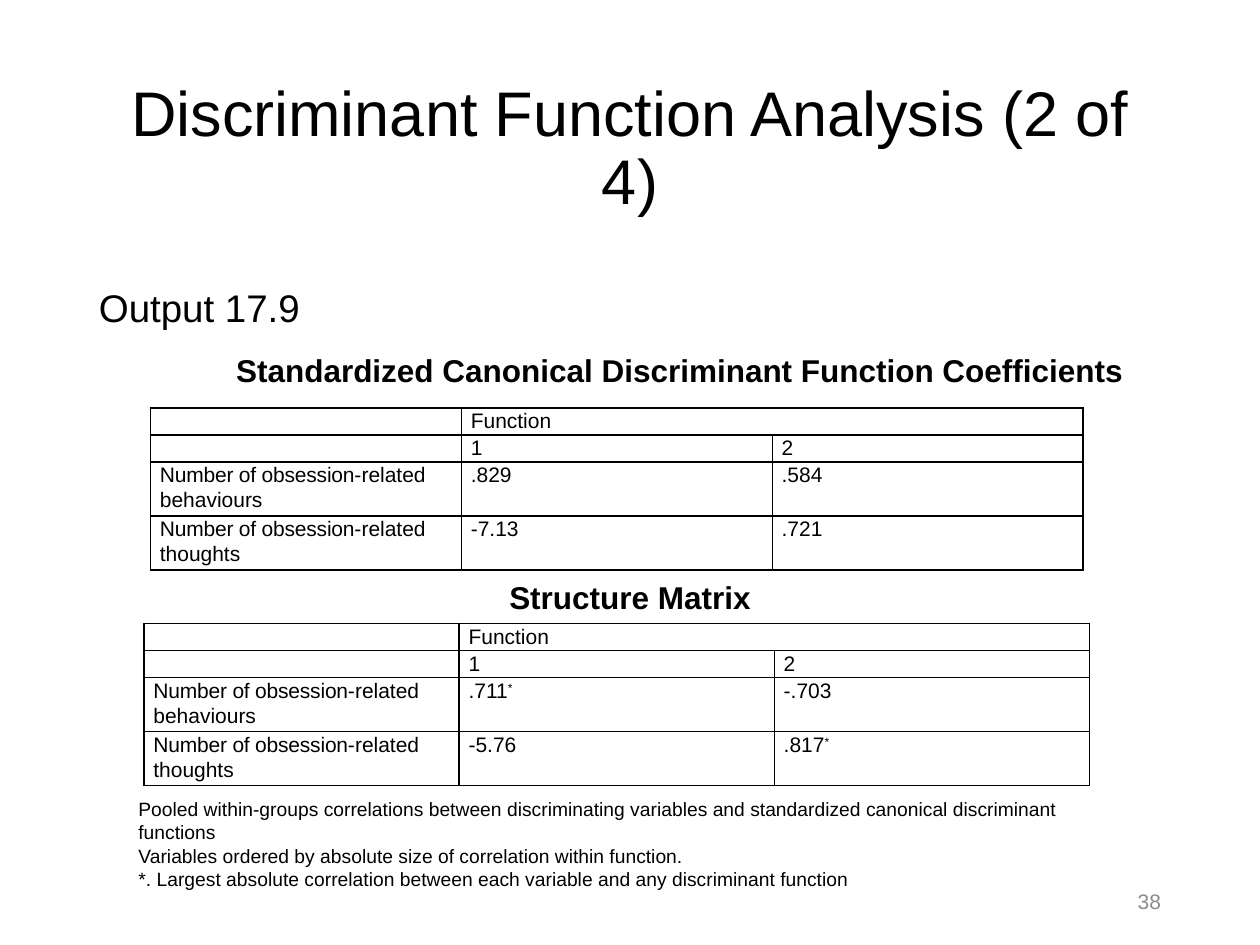
"""Build a slide with two discriminant function analysis tables."""
from lxml import etree
from pptx import Presentation
from pptx import util as u
from pptx.dml.color import RGBColor
from pptx.enum import text
from pptx.oxml.ns import qn

Pt = u.Pt
COLORS = {"ink": "000000", "number": "8C8C8C"}
LEFT, CENTER, RIGHT = text.PP_ALIGN.LEFT, text.PP_ALIGN.CENTER, text.PP_ALIGN.RIGHT


def add_span(para, wording, size, color="ink", bold=False, **attributes):
    span = para.add_run()
    span.text = wording
    span.font.name = "Arial"
    span.font.size = Pt(size)
    span.font.bold = bold
    span.font.color.rgb = RGBColor.from_string(COLORS[color])
    for name, value in attributes.items():
        span.font._element.set(name, value)


def draw_borders(cell):
    properties = cell._tc.get_or_add_tcPr()
    for position, side in enumerate(("a:lnL", "a:lnR", "a:lnT", "a:lnB")):
        line = etree.Element(qn(side), w=str(Pt(1)))
        fill = etree.SubElement(line, qn("a:solidFill"))
        etree.SubElement(fill, qn("a:srgbClr"), val=COLORS["ink"])
        properties.insert(position, line)


deck = Presentation()
deck.slide_width, deck.slide_height = Pt(720), Pt(540)
page = deck.slides.add_slide(deck.slide_layouts[5])

title = page.shapes.title
title.left, title.top, title.width, title.height = Pt(49.5), Pt(33.8), Pt(621), Pt(104.4)
title.text_frame.auto_size = text.MSO_AUTO_SIZE.NONE
title.text_frame.vertical_anchor = text.MSO_ANCHOR.MIDDLE
para = title.text_frame.paragraphs[0]
para.alignment = CENTER
para.line_spacing = 0.9
add_span(para, "Discriminant Function Analysis (2 of 4)", 36)

notes = [
    "Pooled within-groups correlations between discriminating variables and standardized canonical discriminant functions",
    "Variables ordered by absolute size of correlation within function.",
    "*. Largest absolute correlation between each variable and any discriminant function",
]
boxes = [
    (49.5, 159, 621, 53, ["Output 17.9"], 22, LEFT, "ink", False),
    (114.5, 197.3, 548, 29, ["Standardized Canonical Discriminant Function Coefficients"], 18, CENTER, "ink", True),
    (270.7, 327, 178.6, 29, ["Structure Matrix"], 18, CENTER, "ink", True),
    (72, 452.2, 561, 60.5, notes, 11, LEFT, "ink", False),
    (508.5, 500.5, 162, 28.8, ["38"], 12, RIGHT, "number", False),
]
for left, top, width, height, lines, size, alignment, color, bold in boxes:
    box = page.shapes.add_textbox(Pt(left), Pt(top), Pt(width), Pt(height))
    frame = box.text_frame
    frame.word_wrap = True
    if color == "number":
        frame.vertical_anchor = text.MSO_ANCHOR.MIDDLE
    for index, wording in enumerate(lines):
        para = frame.add_paragraph() if index else frame.paragraphs[0]
        para.alignment = alignment
        add_span(para, wording, size, color, bold)

variables = ["behaviours", "thoughts"]
tables = [
    (86, 233, 533, [(".829", ".584"), ("-7.13", ".721")]),
    (82.3, 356.3, 540.3, [(".711*", "-.703"), ("-5.76", ".817*")]),
]
for left, top, width, values in tables:
    shape = page.shapes.add_table(4, 3, Pt(left), Pt(top), Pt(width), Pt(92.7))
    grid = shape.table
    grid.first_row = grid.horz_banding = False
    for column in grid.columns:
        column.width = Pt(round(width / 3, 2))
    for row, height in zip(grid.rows, (15.45, 15.45, 30.9, 30.9)):
        row.height = Pt(height)
    rows = [("", "Function", ""), ("", "1", "2")]
    rows += [(f"related {name}", *pair) for name, pair in zip(variables, values)]
    for row_index, row in enumerate(rows):
        for column_index, wording in enumerate(row):
            cell = grid.cell(row_index, column_index)
            cell.margin_left = cell.margin_right = Pt(5.4)
            cell.margin_top = cell.margin_bottom = Pt(0)
            cell.fill.background()
            draw_borders(cell)
            para = cell.text_frame.paragraphs[0]
            para.line_spacing = 1.07
            para.font.size = Pt(12)
            if wording.startswith("related"):
                add_span(para, "Number of obsession-", 12, spc="-10")
            if wording:
                add_span(para, wording.rstrip("*"), 12)
            if wording.endswith("*"):
                add_span(para, "*", 12, baseline="30000")
    grid.cell(0, 1).merge(grid.cell(0, 2))

deck.save("out.pptx")
